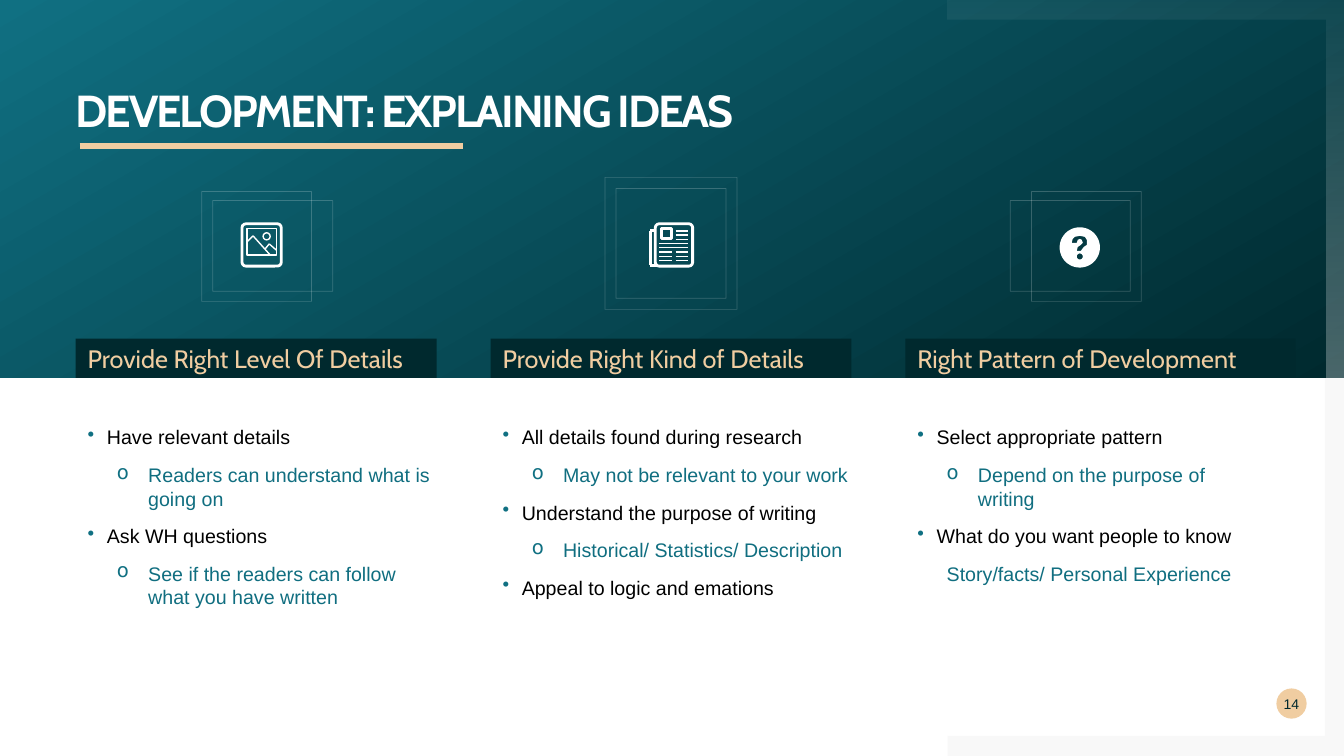
import math
from lxml import etree
from pptx import Presentation, util as u
from pptx.dml.color import RGBColor
from pptx.enum import shapes, text
from pptx.oxml.ns import qn

WIDTH, HEIGHT = 13.33, 7.5
HALF = HEIGHT / 2
MARGIN, PITCH, COLUMN = 0.75, 4.115, 3.58
WHITE, DARK, TEAL, SAND = "FFFFFF", "00292E", "107082", "F0CDA1"
RECT, ROUND, OVAL = (shapes.MSO_SHAPE.RECTANGLE, shapes.MSO_SHAPE.ROUNDED_RECTANGLE,
                     shapes.MSO_SHAPE.OVAL)


def paint(fill, colours, opacities=(), angle=0):
    """Fill with one colour, or with a gradient between two."""
    if len(colours) == 1:
        fill.solid()
        fill.fore_color.rgb = RGBColor.from_string(colours[0])
    else:
        fill.gradient()
        fill.gradient_angle = angle
        for stop, colour in zip(fill.gradient_stops, colours):
            stop.color.rgb = RGBColor.from_string(colour)
    for node, share in zip(fill._xPr.iter(qn("a:srgbClr")), opacities):
        etree.SubElement(node, qn("a:alpha")).set("val", str(share * 1000))


def write(box, lines, inset=0.12, anchor=text.MSO_ANCHOR.MIDDLE):
    """Fill a box from (text, colour, bullet, paragraph values, font values)."""
    frame = box.text_frame
    frame.word_wrap, frame.vertical_anchor = True, anchor
    frame.margin_left = u.Inches(inset)
    frame.margin_top = frame.margin_right = frame.margin_bottom = 0
    for index, (words, colour, bullet, layout, look) in enumerate(lines):
        para = frame.add_paragraph() if index else frame.paragraphs[0]
        for key, value in layout.items():
            if key in ("marL", "indent"):
                para._p.get_or_add_pPr().set(key, str(int(u.Inches(value))))
            else:
                setattr(para, key, value)
        if bullet:
            props = para._p.get_or_add_pPr()
            tint = etree.SubElement(props, qn("a:buClr"))
            etree.SubElement(tint, qn("a:srgbClr")).set("val", TEAL)
            etree.SubElement(props, qn("a:buChar")).set("char", bullet)
        span = para.add_run()
        span.text = words
        for key, value in look.items():
            setattr(span.font, key, value)
        paint(span.font.fill, [colour])


deck = Presentation()
deck.slide_width, deck.slide_height = u.Inches(WIDTH), u.Inches(HEIGHT)
page = deck.slides.add_slide(deck.slide_layouts[6])
canvas = page.shapes

# Banner over the upper half
banner = canvas.add_shape(RECT, 0, 0, deck.slide_width, u.Inches(HALF))
banner.shadow.inherit = False
banner.line.fill.background()
paint(banner.fill, [DARK, TEAL], angle=120)

# Corner brackets and the question icon
bracket = [(9.4, 0), (WIDTH, 0), (WIDTH, HALF), (13.14, HALF), (13.14, 0.2), (9.4, 0.2)]
disc, dot = [[(x + r * math.cos(math.tau * k / 48), y + r * math.sin(math.tau * k / 48))
              for k in range(48)] for x, y, r in [(10.71, 2.455, 0.2), (10.71, 2.545, 0.03)]]
hook = [(10.63, 2.41), (10.64, 2.37), (10.66, 2.35), (10.71, 2.34), (10.76, 2.35),
        (10.78, 2.38), (10.78, 2.43), (10.75, 2.45), (10.72, 2.49), (10.68, 2.49),
        (10.69, 2.45), (10.72, 2.43), (10.74, 2.41), (10.73, 2.38), (10.71, 2.37),
        (10.69, 2.38), (10.68, 2.41)]
for contours, colours, opacities in [
        ([[(x, HEIGHT - y) for x, y in bracket]], ["808080"], [5]),
        ([bracket], [WHITE, WHITE], [5, 30]),
        ([disc, hook, dot], [WHITE], [])]:
    builder = None
    for contour in contours:
        start, *rest = [(u.Inches(x), u.Inches(y)) for x, y in contour]
        if builder:
            builder.move_to(*start)
        else:
            builder = canvas.build_freeform(*start)
        builder.add_line_segments(rest, close=True)
    outline = builder.convert_to_shape()
    outline.shadow.inherit = False
    outline.line.fill.background()
    paint(outline.fill, colours, opacities, angle=270)

# Thin frames behind the icons, then the icon outlines
for preset, left, top, width, height, weight, opacity in [
        (RECT, 10.23, 1.9, 1.09, 1.09, 0.5, 20), (RECT, 10.02, 1.99, 1.19, 0.9, 0.5, 20),
        (RECT, 2, 1.9, 1.09, 1.09, 0.5, 20), (RECT, 2.11, 1.99, 1.19, 0.9, 0.5, 20),
        (RECT, 6.11, 1.87, 1.09, 1.09, 0.5, 20), (RECT, 6, 1.76, 1.31, 1.31, 0.5, 20),
        (ROUND, 2.4, 2.22, 0.39, 0.42, 2, 100), (RECT, 2.45, 2.27, 0.29, 0.26, 1, 100),
        (OVAL, 2.61, 2.31, 0.07, 0.07, 1, 100),
        (ROUND, 6.5, 2.22, 0.37, 0.42, 2, 100), (RECT, 6.56, 2.27, 0.1, 0.1, 2, 100)]:
    frame = canvas.add_shape(preset, *map(u.Inches, (left, top, width, height)))
    frame.shadow.inherit = False
    frame.fill.background()
    frame.line.width = u.Pt(weight)
    paint(frame.line.fill, [WHITE], [opacity])
    if preset == ROUND:
        frame.adjustments[0] = 0.1

# Title rule, mountains, newspaper fold and newspaper text
strokes = [(0.79, 1.45, 4.59, 1.45, 4.32, SAND)]
for path_points, weight in [
        ([(2.45, 2.4), (2.51, 2.34), (2.68, 2.53)], 1),
        ([(2.63, 2.47), (2.67, 2.42), (2.74, 2.48)], 1),
        ([(6.5, 2.29), (6.45, 2.29), (6.45, 2.63), (6.52, 2.63)], 2)]:
    strokes += [(*a, *b, weight, WHITE) for a, b in zip(path_points, path_points[1:])]
for row in range(8):
    y = 2.29 + 0.042 * row
    spans = [(6.7, 6.82)] if row < 3 else [(6.54, 6.82)] if row < 5 else [(6.54, 6.67), (6.7, 6.82)]
    strokes += [(x1, y, x2, y, 1, WHITE) for x1, x2 in spans]
for *ends, weight, colour in strokes:
    stroke = canvas.add_connector(shapes.MSO_CONNECTOR.STRAIGHT, *map(u.Inches, ends))
    stroke.line.width = u.Pt(weight)
    paint(stroke.line.fill, [colour])
    etree.SubElement(stroke._element.spPr, qn("a:effectLst"))

# Title
title = canvas.add_textbox(*map(u.Inches, (MARGIN, 0.88, 8.27, 0.4)))
write(title, [("DEVELOPMENT: EXPLAINING IDEAS", WHITE, None, {"line_spacing": 0.9},
               {"name": "Cabin", "size": u.Pt(32), "bold": True})], 0, text.MSO_ANCHOR.TOP)
title.text_frame.paragraphs[0].runs[0].font._element.set("spc", "-150")

# Three columns: heading bar and bullets
after = {"space_after": u.Pt(10)}
body_font = {"name": "Arial", "size": u.Pt(14)}
styles = {"point": ("000000", "•", {"marL": 0.19, "indent": -0.19, **after}, body_font),
          "detail": ("106E80", "o", {"level": 1, "marL": 0.6, "indent": -0.31, **after}, body_font),
          "plain": ("106E80", None, {"level": 1, "marL": 0.29, "indent": 0, **after}, body_font)}
columns = [
    ("Provide Right Level Of Details", COLUMN, [
        ("point", "Have relevant details"),
        ("detail", "Readers can understand what is going on"),
        ("point", "Ask WH questions"),
        ("detail", "See if the readers can follow what you have written")]),
    ("Provide Right Kind of Details", COLUMN, [
        ("point", "All details found during research"),
        ("detail", "May not be relevant to your work"),
        ("point", "Understand the purpose of writing"),
        ("detail", "Historical/ Statistics/ Description"),
        ("point", "Appeal to logic and emations")]),
    ("Right Pattern of Development", 3.87, [
        ("point", "Select appropriate pattern"),
        ("detail", "Depend on the purpose of writing"),
        ("point", "What do you want people to know"),
        ("plain", "Story/facts/ Personal Experience")])]
for index, (heading, bar_width, items) in enumerate(columns):
    left = MARGIN + PITCH * index
    body = canvas.add_textbox(*map(u.Inches, (left, 4.22, COLUMN - 0.01, 2.45)))
    write(body, [(words, *styles[kind]) for kind, words in items], anchor=text.MSO_ANCHOR.TOP)
    bar = canvas.add_textbox(*map(u.Inches, (left, HALF - 0.39, bar_width, 0.39)))
    paint(bar.fill, [DARK])
    write(bar, [(heading, SAND, None, after, {"name": "Cabin", "size": u.Pt(18)})])

# Page number
badge = canvas.add_shape(OVAL, *map(u.Inches, (12.66, 6.83, 0.3, 0.3)))
badge.shadow.inherit = False
badge.line.fill.background()
paint(badge.fill, [SAND])
write(badge, [("14", DARK, None, {"alignment": text.PP_ALIGN.CENTER},
               {"name": "Arial", "size": u.Pt(10)})], 0)

deck.save("out.pptx")
